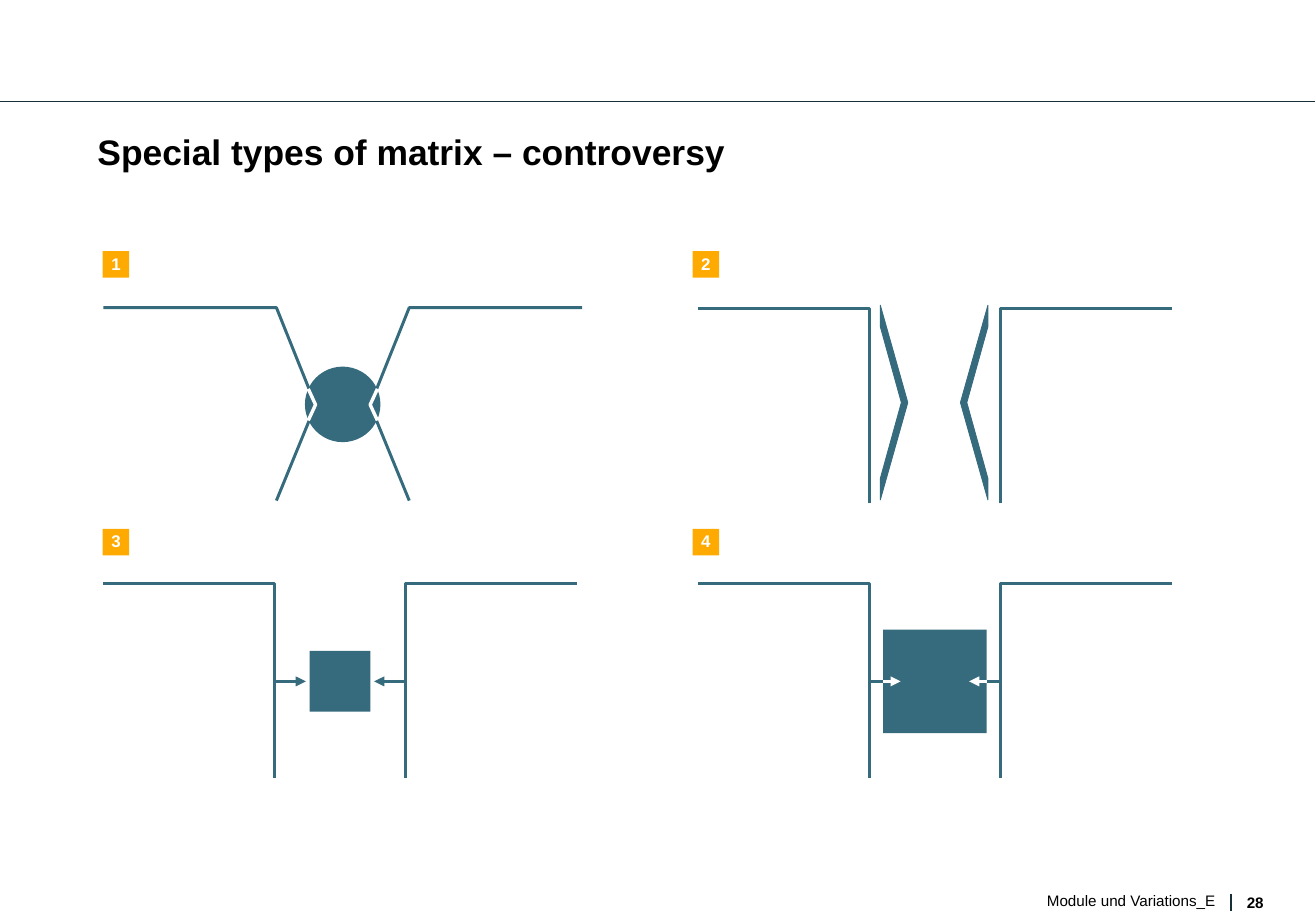
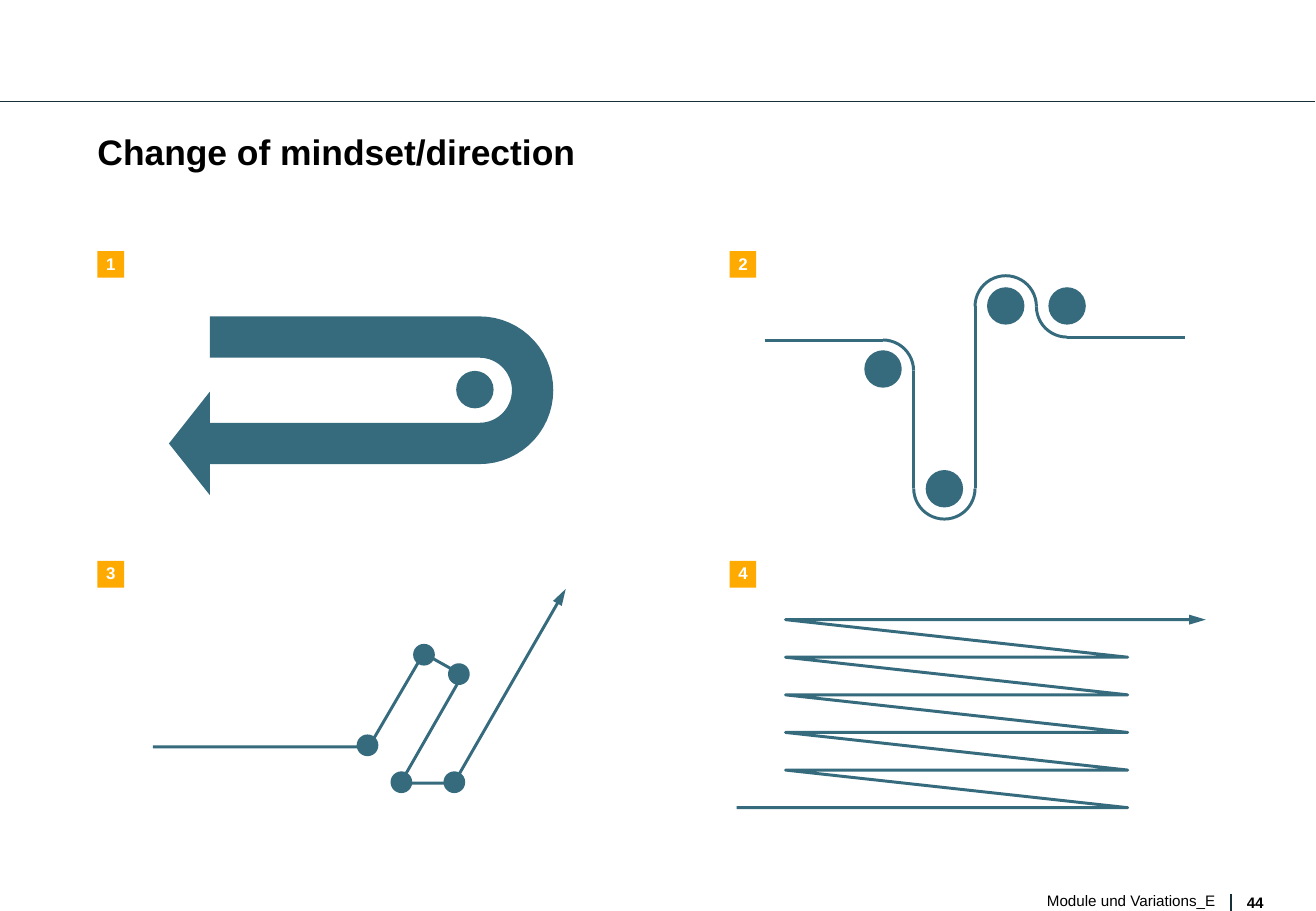
from math import cos, radians, sin

from lxml import etree
from pptx import Presentation
from pptx.dml import color
from pptx.enum import shapes, text
from pptx.oxml import ns
from pptx.util import Pt

TEAL, ORANGE, DARK, BLACK, WHITE = "366B7E", "FFAA00", "172F37", "000000", "FFFFFF"
FONT = "Arial"
PEN = 1.75
rgb = color.RGBColor.from_string
STRAIGHT = shapes.MSO_CONNECTOR.STRAIGHT
RECTANGLE, OVAL = shapes.MSO_SHAPE.RECTANGLE, shapes.MSO_SHAPE.OVAL
LEFT, CENTER, RIGHT = text.PP_ALIGN.LEFT, text.PP_ALIGN.CENTER, text.PP_ALIGN.RIGHT


def style(shape, fill=None, line=None, width=PEN, arrow=None):
    """Set fill, line, arrowhead length at the end, and no shadow."""
    if fill:
        shape.fill.solid()
        shape.fill.fore_color.rgb = rgb(fill)
    elif hasattr(shape, "fill"):
        shape.fill.background()
    if line:
        shape.line.color.rgb = rgb(line)
        shape.line.width = Pt(width)
    else:
        shape.line.fill.background()
    properties = shape.element.spPr
    if arrow:
        outline = properties.find(ns.qn("a:ln"))
        etree.SubElement(outline, ns.qn("a:tailEnd"), type="triangle", w="med", len=arrow)
    etree.SubElement(properties, ns.qn("a:effectLst"))


def draw_path(slide, points, closed=False, **look):
    """Draw straight segments through points given in pt."""
    corners = [(Pt(x), Pt(y)) for x, y in points]
    builder = slide.shapes.build_freeform(*corners[0])
    builder.add_line_segments(corners[1:], close=closed)
    style(builder.convert_to_shape(), **look)


presentation = Presentation()
presentation.slide_width, presentation.slide_height = Pt(780.63), Pt(540.13)

# Shared frame: rules, title, footer, numbered badges
pages = [
    ("Special types of matrix – controversy", "28", (60.9, 410.8), (148.9, 313.6)),
    ("Change of mindset/direction", "44", (57.8, 432.8), (148.9, 332.6)),
]
slides = []
for title, number, badge_columns, badge_rows in pages:
    slide = presentation.slides.add_slide(presentation.slide_layouts[6])
    slides.append(slide)
    for x1, y1, x2, y2 in ((0, 60, 780, 60), (730.2, 530, 730.2, 540)):
        rule = slide.shapes.add_connector(STRAIGHT, Pt(x1), Pt(y1), Pt(x2), Pt(y2))
        style(rule, line=DARK, width=0.75)
    for wording, box, size, bold, alignment, spacing in (
        (title, (57.8, 79.4, 674, 52), 21, True, LEFT, 0.93),
        ("Module und Variations_E", (448, 528.2, 272.9, 11), 9, False, RIGHT, Pt(11)),
        (number, (739.6, 529.4, 12.2, 10), 9, True, LEFT, 1.0),
    ):
        frame = slide.shapes.add_textbox(*map(Pt, box)).text_frame
        frame.margin_left = frame.margin_right = frame.margin_top = frame.margin_bottom = 0
        frame.word_wrap = True
        paragraph = frame.paragraphs[0]
        paragraph.text = wording
        paragraph.alignment, paragraph.line_spacing = alignment, spacing
        paragraph.font.name, paragraph.font.size = FONT, Pt(size)
        paragraph.font.bold = bold
        paragraph.font.color.rgb = rgb(BLACK)
    for index in range(4):
        row, column = divmod(index, 2)
        badge = slide.shapes.add_shape(
            RECTANGLE, Pt(badge_columns[column]), Pt(badge_rows[row]), Pt(15.8), Pt(15.8))
        style(badge, fill=ORANGE)
        frame = badge.text_frame
        frame.margin_left = frame.margin_right = frame.margin_top = frame.margin_bottom = 0
        frame.word_wrap = False
        frame.vertical_anchor = text.MSO_ANCHOR.MIDDLE
        paragraph = frame.paragraphs[0]
        paragraph.text = str(index + 1)
        paragraph.alignment, paragraph.line_spacing = CENTER, 0.93
        paragraph.font.name, paragraph.font.size = FONT, Pt(10)
        paragraph.font.bold = True
        paragraph.font.color.rgb = rgb(WHITE)

matrix, mindset = slides
SIDES = (-1, 1)

# Matrix 1: two bent frames meeting in a ball
ball = matrix.shapes.add_shape(OVAL, Pt(180.9), Pt(217.4), Pt(44.8), Pt(44.8))
style(ball, fill=TEAL)
bent_frame = [(142, 182.4), (39.4, 182.4), (16.2, 240.2), (39.4, 296.8)]
notch = [(20.5, 230.6), (16.2, 240), (20.5, 249.3)]
for points, ink, width in ((bent_frame, TEAL, PEN), (notch, WHITE, 2)):
    for side in SIDES:
        mirrored = [(203.4 + side * x, y) for x, y in points]
        draw_path(matrix, mirrored, line=ink, width=width)

# Matrices 2 to 4: pairs of right-angled frames
left_axis, right_axis = 201.7, 554.6
for axis, top in ((right_axis, 183), (left_axis, 345.8), (right_axis, 345.8)):
    for side in SIDES:
        inner, outer = axis + side * 38.9, axis + side * 140.8
        draw_path(matrix, [(inner, top + 115.5), (inner, top), (outer, top)], line=TEAL)

# Matrix 2: opposing wedges
wedge = [(31.9, -57.7), (15.6, 0), (31.9, 57.7), (31.9, 45), (19.4, 0), (31.9, -45)]
for side in SIDES:
    draw_path(matrix, [(554.1 + side * x, 238.7 + y) for x, y in wedge],
              closed=True, fill=TEAL, line=TEAL, width=0.5)

# Matrices 3 and 4: squares under pressure from both sides
middle = 404
for axis, size in ((left_axis, 36), (right_axis, 61.4)):
    square = matrix.shapes.add_shape(
        RECTANGLE, Pt(axis - size / 2), Pt(middle - size / 2), Pt(size), Pt(size))
    style(square, fill=TEAL)
    inks = (TEAL, WHITE) if axis == right_axis else (TEAL,)
    for ink in inks:
        for side in SIDES:
            arrow = matrix.shapes.add_connector(
                STRAIGHT, Pt(axis + side * 38.3), Pt(middle), Pt(axis + side * 20.3), Pt(middle))
            if ink == WHITE:
                arrow.begin_connect(square, 1 if side < 0 else 3)
            style(arrow, line=ink, width=2, arrow="med")

# Mindset 1: U-turn arrow around a post
turn_x, turn_y, outer, inner, tail_x = 284.4, 231.4, 43.8, 19.3, 124.5
angles = [radians(angle) for angle in range(-90, 91, 6)]
outer_bend = [(turn_x + outer * cos(a), turn_y + outer * sin(a)) for a in angles]
inner_bend = [(turn_x + inner * cos(a), turn_y + inner * sin(a)) for a in reversed(angles)]
arrow_head = [(tail_x, turn_y + outer), (tail_x, 293.6), (100.2, 263),
              (tail_x, 232.2), (tail_x, turn_y + inner)]
draw_path(mindset,
          [(tail_x, turn_y - outer), *outer_bend, *arrow_head, *inner_bend,
           (tail_x, turn_y - inner)],
          closed=True, fill=TEAL)

# Mindset 2: rope led around four posts
radius = 18.2
post_x = [523.8 + 2 * radius * index for index in range(4)]
bends = [(219.8, 270, 0), (289.6, 0, 180), (181.7, 180, 0), (181.7, 90, 180)]
for x, (y, start, end) in zip(post_x, bends):
    bend = mindset.shapes.add_shape(
        shapes.MSO_SHAPE.ARC, Pt(x - radius), Pt(y - radius), Pt(2 * radius), Pt(2 * radius))
    # Arc angles are stored in 1/60000 degree, adjustments in 1/100000
    bend.adjustments[0], bend.adjustments[1] = start * 0.6, end * 0.6
    style(bend, line=TEAL)
for x1, y1, x2, y2 in (
    (453.6, 219.8 - radius, post_x[0], 219.8 - radius),
    (post_x[0] + radius, 219.8, post_x[0] + radius, 289.6),
    (post_x[1] + radius, 289.6, post_x[1] + radius, 181.7),
    (post_x[3], 181.7 + radius, 703, 181.7 + radius),
):
    rope = mindset.shapes.add_connector(STRAIGHT, Pt(x1), Pt(y1), Pt(x2), Pt(y2))
    style(rope, line=TEAL)

# Mindset 3: detour between five points
draw_path(mindset,
          [(90.7, 442.8), (218.9, 442.8), (251.3, 387.4), (274.3, 400.3),
           (237.6, 464.4), (269.3, 464.4), (335.6, 349.2)],
          line=TEAL, arrow="lg")

# Posts and turning points
posts = [(281.7, 231), *zip(post_x, (218.8, 289.8, 181.4, 181.4))]
turning_points = [(218, 441.9), (251.5, 388.2), (272.2, 399.7), (238.1, 463.8), (269.5, 463.8)]
for centers, size in ((posts, 22.2), (turning_points, 12.9)):
    for x, y in centers:
        dot = mindset.shapes.add_shape(
            OVAL, Pt(x - size / 2), Pt(y - size / 2), Pt(size), Pt(size))
        style(dot, fill=TEAL)

# Mindset 4: zigzag rising in five equal steps
zigzag = [(437, 478.9)]
for step in range(5):
    level = 478.9 - 22.3 * step
    zigzag += [(669, level), (466, level - 22.3)]
zigzag.append((715.3, 367.4))
draw_path(mindset, zigzag, line=TEAL, arrow="lg")

presentation.save("out.pptx")
